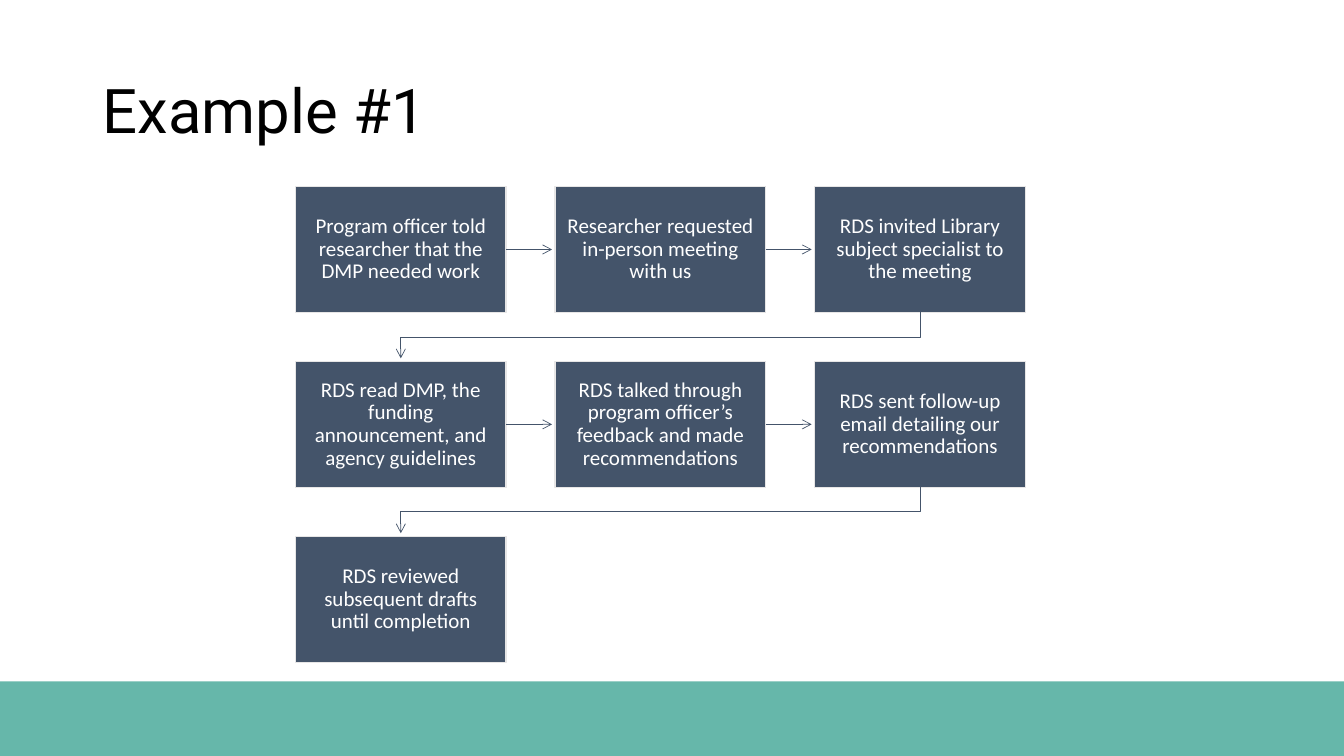
import pptx
import pptx.dml.color
import pptx.enum.shapes
import pptx.enum.text
import pptx.oxml
import pptx.oxml.ns
import pptx.util
from lxml import etree

Inches = pptx.util.Inches
Pt = pptx.util.Pt

TITLE = "Example #1"
STEPS = [
    "Program officer told researcher that the DMP needed work",
    "Researcher requested in-person meeting with us",
    "RDS invited Library subject specialist to the meeting",
    "RDS read DMP, the funding announcement, and agency guidelines",
    "RDS talked through program officer’s feedback and made recommendations",
    "RDS sent follow-up email detailing our recommendations",
    "RDS reviewed subsequent drafts until completion",
]
COLUMNS = 3
GRID_LEFT, GRID_TOP = 2.93, 1.85
COLUMN_STEP, ROW_STEP = 2.575, 1.735
BOX_WIDTH, BOX_HEIGHT = 2.09, 1.25
ARROW_GAP = 0.03
NAVY, PALE, TEAL, WHITE, BLACK = "44546A", "E7E6E6", "319F8D", "FFFFFF", "000000"


def color(value):
    return pptx.dml.color.RGBColor.from_string(value)


def add_child(parent, tag, **attributes):
    return etree.SubElement(parent, pptx.oxml.ns.qn(tag), **attributes)


def fill_shape(shape, value):
    shape.shadow.inherit = False
    shape.fill.solid()
    shape.fill.fore_color.rgb = color(value)


def write_text(shape, text, font_name, size, value, alignment):
    frame = shape.text_frame
    frame.word_wrap = True
    frame.vertical_anchor = pptx.enum.text.MSO_ANCHOR.MIDDLE
    paragraph = frame.paragraphs[0]
    paragraph.text = text
    paragraph.alignment = alignment
    paragraph.line_spacing = 0.9
    paragraph.font.name = font_name
    paragraph.font.size = Pt(size)
    paragraph.font.color.rgb = color(value)
    return frame


def style_arrow(arrow):
    arrow.line.color.rgb = color(NAVY)
    arrow.line.width = Pt(0.5)
    add_child(arrow.line._get_or_add_ln(), "a:tailEnd", type="arrow")


def add_rectangle(slide, left, top, width, height):
    return slide.shapes.add_shape(
        pptx.enum.shapes.MSO_SHAPE.RECTANGLE,
        Inches(left), Inches(top), Inches(width), Inches(height))


def add_step(slide, text, left, top):
    box = add_rectangle(slide, left, top, BOX_WIDTH, BOX_HEIGHT)
    fill_shape(box, NAVY)
    box.line.color.rgb = color(PALE)
    box.line.width = Pt(1)
    frame = write_text(box, text, "Calibri", 15, WHITE, pptx.enum.text.PP_ALIGN.CENTER)
    frame.margin_left = frame.margin_right = Inches(0.12)
    frame.margin_top = frame.margin_bottom = Inches(0.12)
    return box


def add_straight_arrow(slide, box, left, top):
    middle = Inches(top + BOX_HEIGHT / 2)
    arrow = slide.shapes.add_connector(
        pptx.enum.shapes.MSO_CONNECTOR.STRAIGHT,
        Inches(left + BOX_WIDTH), middle,
        Inches(left + COLUMN_STEP - ARROW_GAP), middle)
    arrow.begin_connect(box, 3)
    style_arrow(arrow)
    add_child(arrow._element.spPr, "a:effectLst")


def add_row_arrow(slide, left, top):
    start_x = Inches(left + BOX_WIDTH / 2)
    end_x = Inches(GRID_LEFT + BOX_WIDTH / 2)
    start_y = Inches(top + BOX_HEIGHT)
    turn_y = Inches(top + (BOX_HEIGHT + ROW_STEP) / 2)
    end_y = Inches(top + ROW_STEP - ARROW_GAP)
    builder = slide.shapes.build_freeform(start_x, start_y)
    builder.add_line_segments(
        [(start_x, turn_y), (end_x, turn_y), (end_x, end_y)], close=False)
    arrow = builder.convert_to_shape()
    arrow.shadow.inherit = False
    arrow.fill.background()
    style_arrow(arrow)


def main():
    presentation = pptx.Presentation()
    presentation.slide_width = Inches(13.33)
    presentation.slide_height = Inches(7.5)
    slide = presentation.slides.add_slide(presentation.slide_layouts[6])

    footer = add_rectangle(slide, 0, 6.76, 13.33, 0.74)
    fill_shape(footer, TEAL)
    footer.line.fill.background()
    footer_color = footer._element.spPr.find(".//" + pptx.oxml.ns.qn("a:srgbClr"))
    add_child(footer_color, "a:alpha", val="74000")

    title = slide.shapes.add_textbox(Inches(0.92), Inches(0.4), Inches(11.5), Inches(1.45))
    write_text(title, TITLE, "Roboto", 44, BLACK, pptx.enum.text.PP_ALIGN.LEFT)

    for index, text in enumerate(STEPS):
        row, column = divmod(index, COLUMNS)
        left = GRID_LEFT + column * COLUMN_STEP
        top = GRID_TOP + row * ROW_STEP
        box = add_step(slide, text, left, top)
        if index == len(STEPS) - 1:
            continue
        if column < COLUMNS - 1:
            add_straight_arrow(slide, box, left, top)
        else:
            add_row_arrow(slide, left, top)

    presentation.save("out.pptx")


if __name__ == "__main__":
    main()
